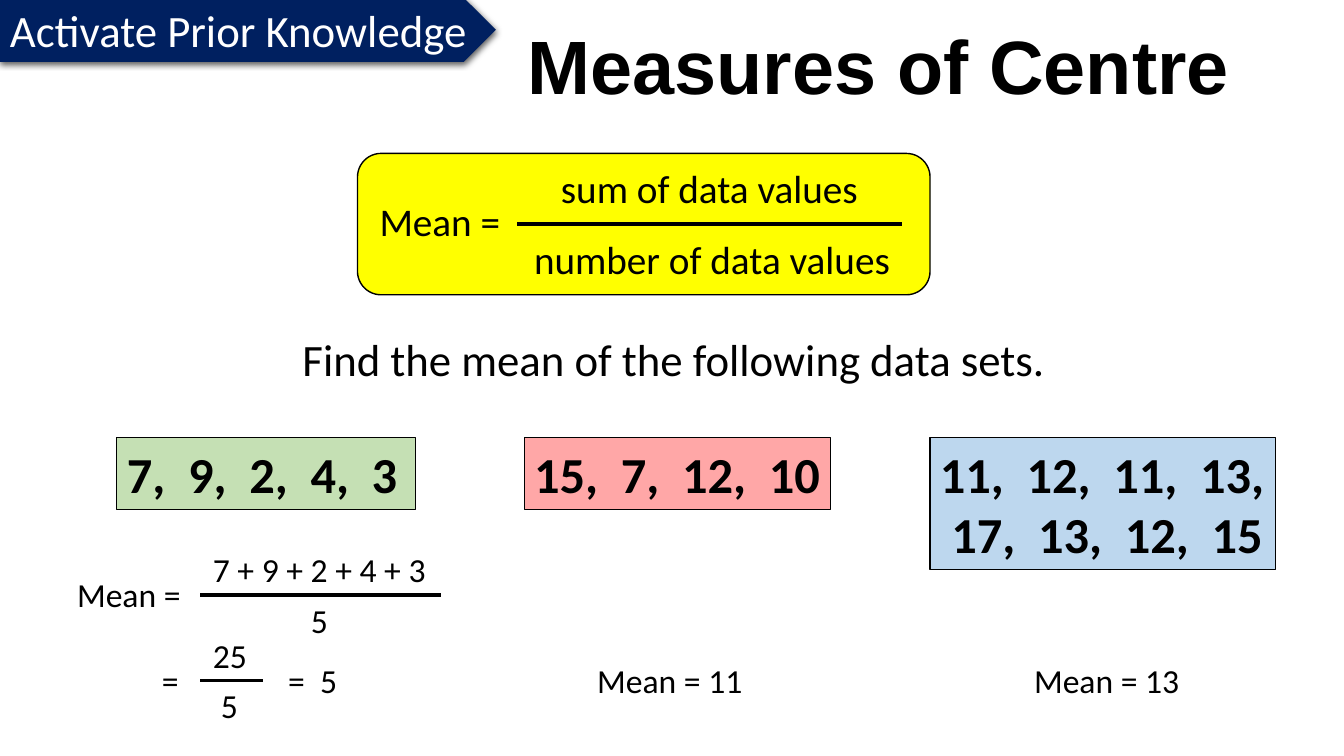
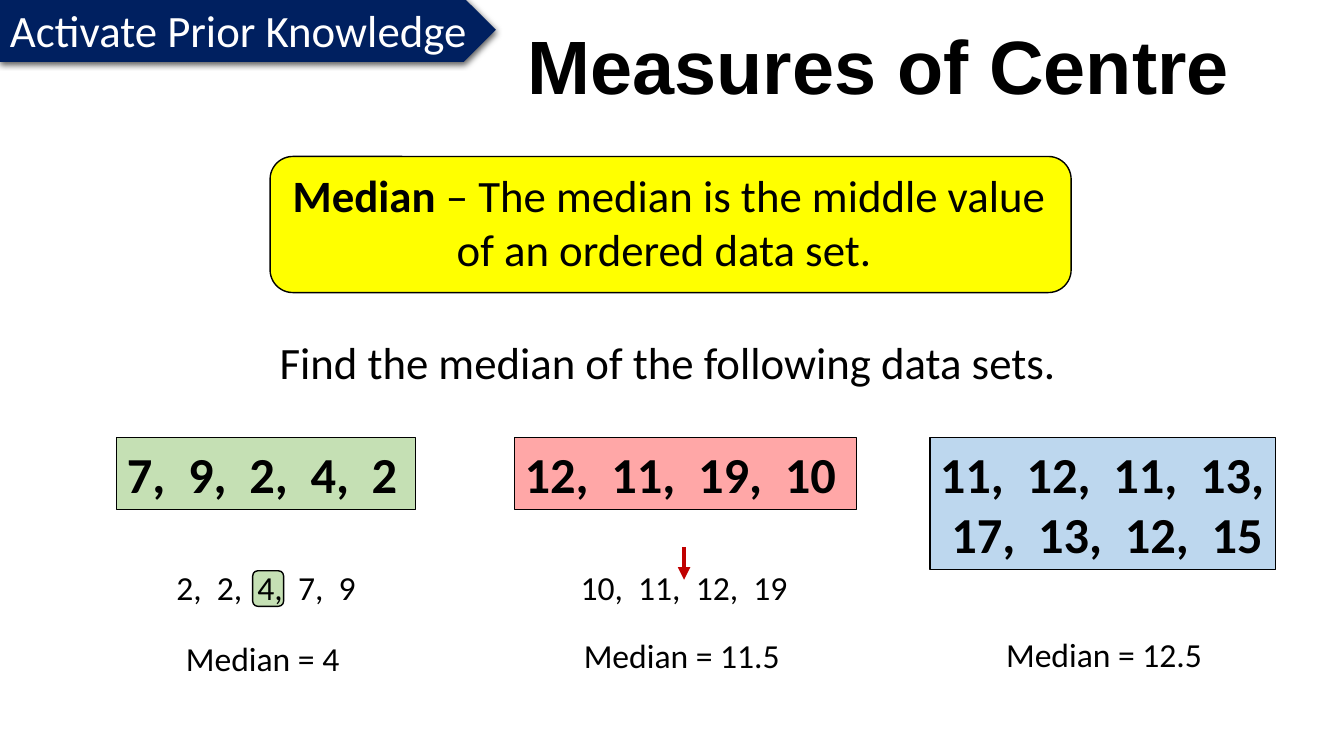
from lxml import etree
from pptx import Presentation
from pptx import util as u
from pptx.dml.color import RGBColor
from pptx.enum import shapes, text
from pptx.oxml import parse_xml
from pptx.oxml.ns import nsdecls, qn

BLACK = RGBColor(0x00, 0x00, 0x00)
WHITE = RGBColor(0xFF, 0xFF, 0xFF)
NAVY = RGBColor(0x00, 0x20, 0x60)
YELLOW = RGBColor(0xFF, 0xFF, 0x00)
GREEN = RGBColor(0xC5, 0xE0, 0xB4)
PINK = RGBColor(0xFF, 0xA7, 0xA7)
BLUE = RGBColor(0xBD, 0xD7, 0xEE)
RED = RGBColor(0xC0, 0x00, 0x00)

LEFT, CENTER = text.PP_ALIGN.LEFT, text.PP_ALIGN.CENTER
ROUNDED = shapes.MSO_SHAPE.ROUNDED_RECTANGLE
RECTANGLE = shapes.MSO_SHAPE.RECTANGLE
PENTAGON = shapes.MSO_SHAPE.PENTAGON

presentation = Presentation()
presentation.slide_width = u.Inches(13.333)
presentation.slide_height = u.Inches(7.5)
COLUMN = presentation.slide_width / 100
ROW = presentation.slide_height / 100
SMALL_ROWS = 6.7
SET_ROW = 57.9


def add_text(slide, runs, left, top, width, height=SMALL_ROWS, size=24, font="Calibri",
             color=BLACK, bold=False, align=LEFT, spacing=None, preset=None, fill=None,
             line=None, anchor=text.MSO_ANCHOR.TOP, wrap=True):
    frame = [u.Emu(round(length)) for length in
             (left * COLUMN, top * ROW, width * COLUMN, height * ROW)]
    if preset is None:
        shape = slide.shapes.add_textbox(*frame)
    else:
        shape = slide.shapes.add_shape(preset, *frame)
        shape.shadow.inherit = False
        shape.fill.solid()
        shape.fill.fore_color.rgb = fill
        if line is None:
            shape.line.fill.background()
        else:
            shape.line.color.rgb = BLACK
            shape.line.width = u.Pt(line)
    shape.text_frame.word_wrap = wrap
    shape.text_frame.vertical_anchor = anchor
    paragraph = shape.text_frame.paragraphs[0]
    paragraph.alignment = align
    paragraph.line_spacing = spacing
    for words, is_bold in [(runs, bold)] if isinstance(runs, str) else runs:
        run = paragraph.add_run()
        run.text = words
        run.font.name = font
        run.font.size = u.Pt(size)
        run.font.bold = is_bold
        run.font.color.rgb = color
    return shape


def add_line(slide, start, end, width=2.25, color=BLACK, arrow=False):
    points = [u.Emu(round(length)) for column, row in (start, end)
              for length in (column * COLUMN, row * ROW)]
    connector = slide.shapes.add_connector(shapes.MSO_CONNECTOR.STRAIGHT, *points)
    connector.line.color.rgb = color
    connector.line.width = u.Pt(width)
    if arrow:
        etree.SubElement(connector.line._get_or_add_ln(), qn("a:tailEnd"), type="triangle")
    etree.SubElement(connector._element.spPr, qn("a:effectLst"))


lessons = [
    ("Find the mean of the following data sets.", (20.5, 43.2, 59.3),
     [("7,  9,  2,  4,  3", 8.7, 22.2, 9.5, GREEN),
      ("15,  7,  12,  10", 39, 22.8, 9.5, PINK)],
     (26.6, 20.3, 42.6, 18.7)),
    ("Find the median of the following data sets.", (18, 43.6, 63.4),
     [("7,  9,  2,  4,  2", 8.7, 22.2, 9.5, GREEN),
      ("12,  11,  19,  10", 38.3, 25.4, 9.5, PINK)],
     (20.1, 20.7, 59.6, 18)),
]
shared_set = ("11,  12,  11,  13,  17,  13,  12,  15", 69.2, 25.7, 17.5, BLUE)

slides = []
for question, place, data_sets, definition in lessons:
    slide = presentation.slides.add_slide(presentation.slide_layouts[6])
    slides.append(slide)
    add_text(slide, "", *definition, preset=ROUNDED, fill=YELLOW, line=1)
    add_text(slide, question, *place, 8.5, size=32, align=CENTER)
    for values, left, width, height, fill in data_sets + [shared_set]:
        add_text(slide, values, left, SET_ROW, width, height, size=36, bold=True,
                 preset=RECTANGLE, fill=fill, line=0.75)
    add_text(slide, "Measures of Centre", 31.4, 3.2, 67.9, 19.3, size=54, font="Arial",
             bold=True, align=CENTER, spacing=0.9)
    tab = add_text(slide, "Activate Prior Knowledge", 0, -0.3, 36.9, 8.5, size=32,
                   color=WHITE, preset=PENTAGON, fill=NAVY,
                   anchor=text.MSO_ANCHOR.MIDDLE, wrap=False)
    tab._element.spPr.find(qn("a:effectLst")).append(parse_xml(
        f'<a:outerShdw {nsdecls("a")} blurRad="{u.Pt(4.5)}" dist="{u.Pt(1.5)}" '
        'dir="5400000" algn="ctr" rotWithShape="0">'
        '<a:srgbClr val="000000"><a:alpha val="63000"/></a:srgbClr></a:outerShdw>'))

mean_slide, median_slide = slides

for words, left, top, width in [
    ("Mean =", 27.5, 25.5, 11),
    ("sum of data values", 41, 21.1, 24.1),
    ("number of data values", 39, 30.5, 28.4),
]:
    add_text(mean_slide, words, left, top, width, 7.6, size=28)
add_line(mean_slide, (38.5, 29.6), (67.1, 29.6), width=3)

for numerator, top_width, denominator_left, bar_right, bar_row in [
    ("7 + 9 + 2 + 4 + 3", 17.6, 22.4, 32.8, 78.7),
    ("25", 5, 15.7, 19.6, 90),
]:
    add_text(mean_slide, numerator, 15.1, bar_row - SMALL_ROWS, top_width)
    add_text(mean_slide, "5", denominator_left, bar_row, 3.9)
    add_line(mean_slide, (14.9, bar_row), (bar_right, bar_row))

for words, left, top, width in [
    ("Mean =", 5, 75.3, 9.3),
    ("=", 11.3, 86.6, 3),
    ("=  5", 20.7, 86.6, 6.6),
    ("Mean = 11", 43.7, 86.6, 12.7),
    ("Mean = 13", 76.2, 86.6, 12.7),
]:
    add_text(mean_slide, words, left, top, width)

add_text(median_slide, [("Median ", True),
                        ("– The median is the middle value of an ordered data set. ", False)],
         20.5, 21.5, 58.6, 15.7, size=32, align=CENTER)
add_text(median_slide, "", 18.8, 75.5, 2.3, 4.7, preset=ROUNDED, fill=GREEN, line=1)
for words, left, top, width, align in [
    ("2,  2,  4,  7,  9", 11, 74.4, 17.6, CENTER),
    ("10,  11,  12,  19", 42.1, 74.4, 17.6, CENTER),
    ("Median = 4", 13.1, 83.7, 13.4, LEFT),
    ("Median = 11.5", 42.7, 83.3, 16.4, LEFT),
    ("Median = 12.5", 73.7, 83.2, 16.9, CENTER),
]:
    add_text(median_slide, words, left, top, width, align=align)
add_line(median_slide, (50.9, 72.4), (50.9, 76.7), width=3, color=RED, arrow=True)

presentation.save("out.pptx")
